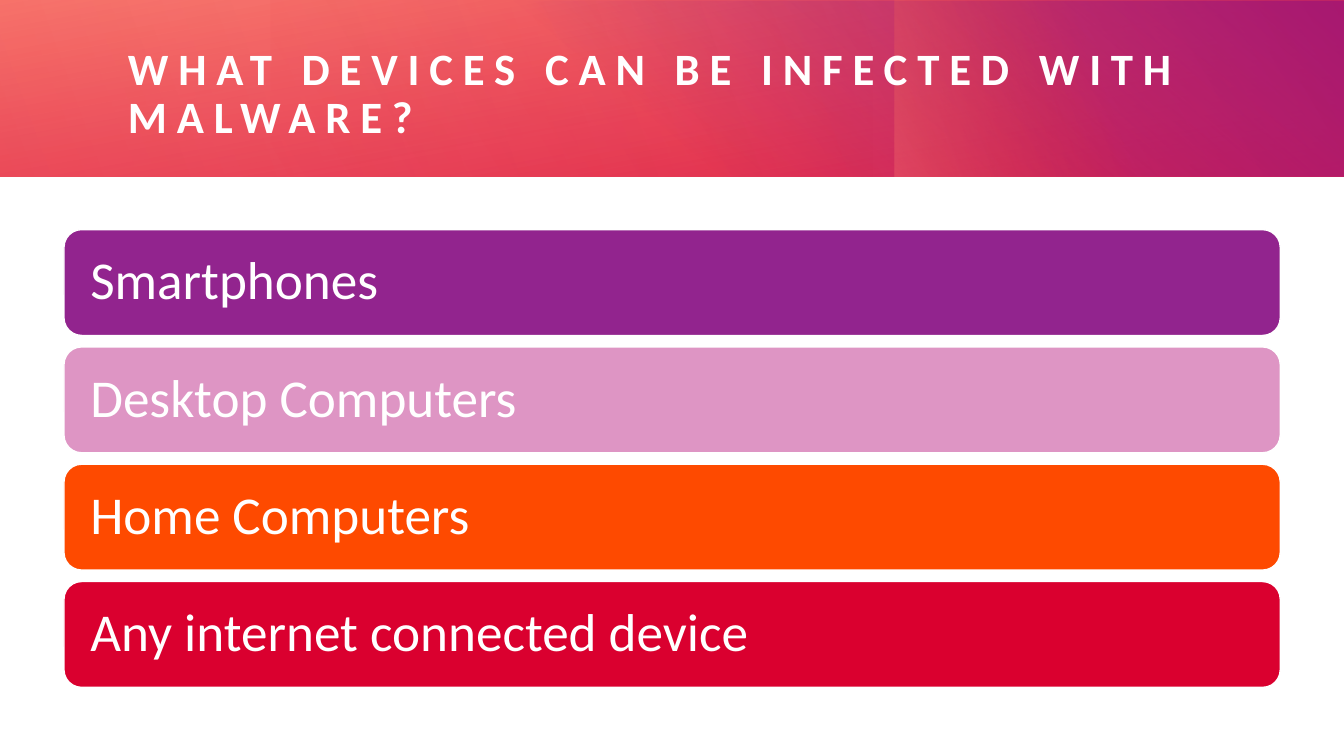
from lxml.etree import SubElement
from pptx import Presentation
from pptx.dml.color import RGBColor
from pptx.enum.shapes import MSO_SHAPE as Preset
from pptx.enum.text import MSO_ANCHOR as Anchor, PP_ALIGN as Align
from pptx.oxml.ns import qn
from pptx.util import Pt

COLORS = {
    "white": "FFFFFF",
    "purple": "92248E",
    "pink": "DE95C4",
    "orange": "FE4A00",
    "red": "DA002F",
    "salmon": "FF907A",
}
SLIDE_WIDTH, SLIDE_HEIGHT = 960, 540
BANNER_HEIGHT = 126
BAR_LEFT, BAR_TOP, BAR_WIDTH, BAR_HEIGHT = 45.7, 164, 868.8, 75.6
BAR_PITCH = 83.8

# Box, rotation, clockwise angle, stops of (position %, color, opacity %)
BANNER_LAYERS = [
    ((0, 0, SLIDE_WIDTH, BANNER_HEIGHT), 0, 260, [(0, "red", 83), (100, "salmon", 100)]),
    ((346.5, 0.7, 613.5, 125.3), 0, 310, [(22, "purple", 0), (99, "purple", 100)]),
    ((710.5, -71.5, BANNER_HEIGHT, 269), 270, 250, [(45, "orange", 0), (99, "salmon", 33)]),
    ((193, 0, 766.5, BANNER_HEIGHT), 180, 330, [(0, "red", 30), (99, "red", 0)]),
    ((0, 0, 623, BANNER_HEIGHT), 0, 340, [(0, "red", 21), (99, "red", 0)]),
]
DEVICES = [
    ("Smartphones", "purple"),
    ("Desktop Computers", "pink"),
    ("Home Computers", "orange"),
    ("Any internet connected device", "red"),
]


class SlideBuilder:
    """Holds the text style and the slide being built."""

    font = "Calibri"

    def __init__(self, slide):
        """Keep the slide to draw on."""
        self.slide = slide

    def color(self, name):
        """Return a named color."""
        return RGBColor.from_string(COLORS[name])

    def shape(self, preset, box):
        """Add a preset shape without a shadow."""
        shape = self.slide.shapes.add_shape(preset, *map(Pt, box))
        shape.shadow.inherit = False
        return shape

    def gradient(self, box, rotation, angle, stops):
        """Add a rectangle with a two-stop translucent gradient."""
        shape = self.shape(Preset.RECTANGLE, box)
        shape.rotation = rotation
        shape.line.fill.background()
        shape.fill.gradient()
        shape.fill.gradient_angle = 360 - angle
        for stop, (position, name, _) in zip(shape.fill.gradient_stops, stops):
            stop.position = position / 100
            stop.color.rgb = self.color(name)
        color_elements = shape._element.spPr.iter(qn("a:srgbClr"))
        for element, (_, _, opacity) in zip(color_elements, stops):
            SubElement(element, qn("a:alpha"), val=str(opacity * 1000))

    def set_text(self, shape, text, size, inset=0, bold=False, spacing=0):
        """Set white, left-aligned, vertically centred text."""
        frame = shape.text_frame
        frame.text = text
        frame.word_wrap = True
        frame.vertical_anchor = Anchor.MIDDLE
        frame.margin_left = frame.margin_right = Pt(inset)
        frame.margin_top = frame.margin_bottom = 0
        paragraph = frame.paragraphs[0]
        paragraph.alignment = Align.LEFT
        paragraph.line_spacing = 0.9
        font = paragraph.runs[0].font
        font.name, font.size, font.bold = self.font, Pt(size), bold
        font.color.rgb = self.color("white")
        if spacing:
            font._element.set("spc", str(spacing * 100))

    def title(self, text, box):
        """Add the widely spaced title."""
        text_box = self.slide.shapes.add_textbox(*map(Pt, box))
        self.set_text(text_box, text, 32, bold=True, spacing=7)

    def bar(self, text, box, fill):
        """Add a rounded bar with a label."""
        shape = self.shape(Preset.ROUNDED_RECTANGLE, box)
        shape.fill.solid()
        shape.fill.fore_color.rgb = self.color(fill)
        shape.line.color.rgb = self.color("white")
        shape.line.width = Pt(1)
        self.set_text(shape, text, 38, inset=15.1)


def main():
    """Build and save the slide."""
    presentation = Presentation()
    presentation.slide_width = Pt(SLIDE_WIDTH)
    presentation.slide_height = Pt(SLIDE_HEIGHT)
    builder = SlideBuilder(presentation.slides.add_slide(presentation.slide_layouts[6]))
    for layer in BANNER_LAYERS:
        builder.gradient(*layer)
    builder.title("WHAT DEVICES CAN BE INFECTED WITH MALWARE?", (91.4, 29.5, 817, 76.3))
    for row, (device, fill) in enumerate(DEVICES):
        box = (BAR_LEFT, BAR_TOP + row * BAR_PITCH, BAR_WIDTH, BAR_HEIGHT)
        builder.bar(device, box, fill)
    presentation.save("out.pptx")


main()
